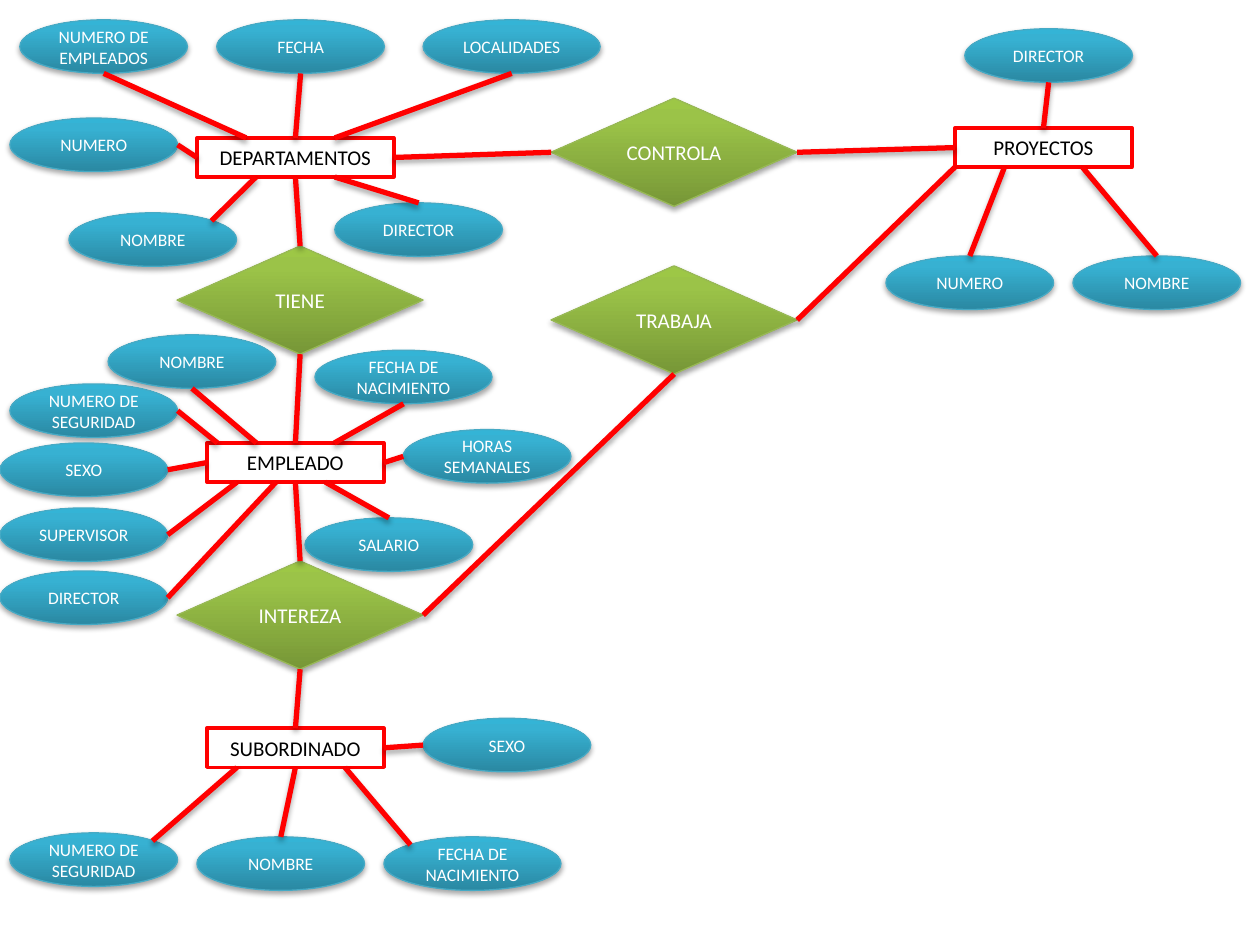
from copy import deepcopy

from lxml.etree import SubElement
from pptx import Presentation
from pptx.dml.color import RGBColor
from pptx.enum.shapes import MSO_CONNECTOR, MSO_SHAPE
from pptx.enum.text import MSO_ANCHOR, PP_ALIGN
from pptx.oxml.ns import qn
from pptx.util import Cm, Pt

TOP, LEFT, BOTTOM, RIGHT = range(4)
SIDE_FRACTIONS = {TOP: (0.5, 0), LEFT: (0, 0.5), BOTTOM: (0.5, 1), RIGHT: (1, 0.5)}
# Points on an ellipse as fractions of its width and height
RIM = {"N": (0.5, 0), "S": (0.5, 1), "W": (0, 0.5), "E": (1, 0.5),
       "NE": (0.85, 0.15), "NW": (0.15, 0.15)}

GREEN = ("779737", "9BC348", "9DC746")
BLUE = ("2A88A2", "37B1D2", "34B4D6")
RED = "FF0000"
NORMAL, WIDE = 3.38, 3.57

# name: left, top, width
ENTITIES = {
    "DEPARTAMENTOS": (3.97, 2.78, 3.97),
    "SUBORDINADO": (4.17, 14.68, WIDE),
    "EMPLEADO": (4.17, 8.93, WIDE),
    "PROYECTOS": (19.25, 2.58, WIDE),
}
# name: left, top
RELATIONSHIPS = {
    "CONTROLA": (11.11, 1.98),
    "INTEREZA": (3.57, 11.31),
    "TRABAJA": (11.11, 5.36),
    "TIENE": (3.57, 4.96),
}
# text, left, top, width, rim point, side of the entity, fraction along that side
ATTRIBUTES = {
    "DEPARTAMENTOS": [
        ("NUMERO DE EMPLEADOS", 0.4, 0.4, NORMAL, "S", TOP, 0.25),
        ("FECHA", 4.37, 0.4, NORMAL, "S", TOP, 0.5),
        ("LOCALIDADES", 8.53, 0.4, WIDE, "S", TOP, 0.7),
        ("NUMERO", 0.2, 2.38, NORMAL, "E", LEFT, 0.5),
        ("NOMBRE", 1.39, 4.29, NORMAL, "NE", BOTTOM, 0.3),
        ("DIRECTOR", 6.75, 4.09, NORMAL, "N", BOTTOM, 0.7),
    ],
    "EMPLEADO": [
        ("NOMBRE", 2.18, 6.75, NORMAL, "S", TOP, 0.28),
        ("NUMERO DE SEGURIDAD", 0.2, 7.74, NORMAL, "E", TOP, 0.06),
        ("SEXO", 0, 8.93, NORMAL, "E", LEFT, 0.5),
        ("SUPERVISOR", 0, 10.24, NORMAL, "E", BOTTOM, 0.17),
        ("DIRECTOR", 0, 11.51, NORMAL, "E", BOTTOM, 0.39),
        ("SALARIO", 6.15, 10.44, NORMAL, "N", BOTTOM, 0.67),
        ("HORAS SEMANALES", 8.13, 8.66, NORMAL, "W", RIGHT, 0.5),
        ("FECHA DE NACIMIENTO", 6.35, 7.06, WIDE, "S", TOP, 0.72),
    ],
    "PROYECTOS": [
        ("DIRECTOR", 19.45, 0.58, NORMAL, "S", TOP, 0.5),
        ("NUMERO", 17.86, 5.16, NORMAL, "N", BOTTOM, 0.28),
        ("NOMBRE", 21.63, 5.16, NORMAL, "N", BOTTOM, 0.72),
    ],
    "SUBORDINADO": [
        ("NUMERO DE SEGURIDAD", 0.2, 16.79, NORMAL, "NE", BOTTOM, 0.17),
        ("NOMBRE", 3.97, 16.87, NORMAL, "N", BOTTOM, 0.5),
        ("FECHA DE NACIMIENTO", 7.74, 16.87, WIDE, "NW", BOTTOM, 0.78),
        ("SEXO", 8.53, 14.48, NORMAL, "W", RIGHT, 0.5),
    ],
}
LINKS = [
    ("DEPARTAMENTOS", RIGHT, "CONTROLA", LEFT),
    ("PROYECTOS", LEFT, "CONTROLA", RIGHT),
    ("DEPARTAMENTOS", BOTTOM, "TIENE", TOP),
    ("TIENE", BOTTOM, "EMPLEADO", TOP),
    ("EMPLEADO", BOTTOM, "INTEREZA", TOP),
    ("INTEREZA", BOTTOM, "SUBORDINADO", TOP),
    ("TRABAJA", BOTTOM, "INTEREZA", RIGHT),
]


def color(value):
    return RGBColor.from_string(value)


def add_shadow(properties):
    """Append a soft drop shadow; the line must already be set."""
    effects = SubElement(properties, qn("a:effectLst"))
    shadow = SubElement(effects, qn("a:outerShdw"), blurRad="40000", dist="23000",
                        dir="5400000", rotWithShape="0")
    black = SubElement(shadow, qn("a:srgbClr"), val="000000")
    SubElement(black, qn("a:alpha"), val="35000")


def fill_gradient(shape, shades):
    """Blend three shades from the bottom edge to the top."""
    shape.fill.gradient()
    shape.fill.gradient_angle = 90
    stop_list = shape._element.spPr.find(".//" + qn("a:gsLst"))
    stop_list.append(deepcopy(stop_list[-1]))
    for stop, shade, position in zip(shape.fill.gradient_stops, shades, (0, 0.8, 1)):
        stop.color.rgb = color(shade)
        stop.position = position


def add_node(slide, kind, text, box, size, text_color, outline, outline_width):
    node = slide.shapes.add_shape(kind, *(Cm(length) for length in box))
    node.line.color.rgb = color(outline)
    node.line.width = Pt(outline_width)
    frame = node.text_frame
    frame.word_wrap = True
    frame.vertical_anchor = MSO_ANCHOR.MIDDLE
    paragraph = frame.paragraphs[0]
    paragraph.alignment = PP_ALIGN.CENTER
    run = paragraph.add_run()
    run.text = text
    run.font.name = "Calibri"
    run.font.size = Pt(size)
    run.font.color.rgb = color(text_color)
    return node


def add_entity(slide, name, left, top, width):
    entity = add_node(slide, MSO_SHAPE.RECTANGLE, name, (left, top, width, 0.79),
                      12, "000000", RED, 2)
    entity.fill.background()
    entity.shadow.inherit = False
    return entity


def add_relationship(slide, name, left, top):
    relationship = add_node(slide, MSO_SHAPE.DIAMOND, name, (left, top, 4.96, 2.18),
                            12, "FFFFFF", "98B955", 0.75)
    fill_gradient(relationship, GREEN)
    add_shadow(relationship._element.spPr)
    return relationship


def add_attribute(slide, text, left, top, width):
    attribute = add_node(slide, MSO_SHAPE.OVAL, text, (left, top, width, 1.08),
                         10, "FFFFFF", "46AAC5", 0.75)
    fill_gradient(attribute, BLUE)
    add_shadow(attribute._element.spPr)
    return attribute


def point_on(node, fractions):
    across, down = fractions
    return round(node.left + across * node.width), round(node.top + down * node.height)


def side_point(node, side, along):
    if side in (TOP, BOTTOM):
        return point_on(node, (along, SIDE_FRACTIONS[side][1]))
    return point_on(node, (SIDE_FRACTIONS[side][0], along))


def add_link(slide, start, end):
    link = slide.shapes.add_connector(MSO_CONNECTOR.STRAIGHT, *start, *end)
    link.line.color.rgb = color(RED)
    link.line.width = Pt(3)
    add_shadow(link._element.spPr)
    return link


def main():
    presentation = Presentation()
    presentation.slide_width, presentation.slide_height = Cm(25.4), Cm(19.05)
    slide = presentation.slides.add_slide(presentation.slide_layouts[6])

    nodes = {name: add_entity(slide, name, *place) for name, place in ENTITIES.items()}
    for name, place in RELATIONSHIPS.items():
        nodes[name] = add_relationship(slide, name, *place)
    attributes = [
        (nodes[owner], add_attribute(slide, *place), rim, side, along)
        for owner, rows in ATTRIBUTES.items()
        for *place, rim, side, along in rows
    ]

    for first, first_side, second, second_side in LINKS:
        link = add_link(slide, side_point(nodes[first], first_side, 0.5),
                        side_point(nodes[second], second_side, 0.5))
        link.begin_connect(nodes[first], first_side)
        link.end_connect(nodes[second], second_side)
    works_on = add_link(slide, side_point(nodes["PROYECTOS"], BOTTOM, 0),
                        side_point(nodes["TRABAJA"], RIGHT, 0.5))
    works_on.end_connect(nodes["TRABAJA"], RIGHT)

    for entity, attribute, rim, side, along in attributes:
        link = add_link(slide, side_point(entity, side, along),
                        point_on(attribute, RIM[rim]))
        if along == 0.5:
            link.begin_connect(entity, side)

    presentation.save("out.pptx")


if __name__ == "__main__":
    main()
